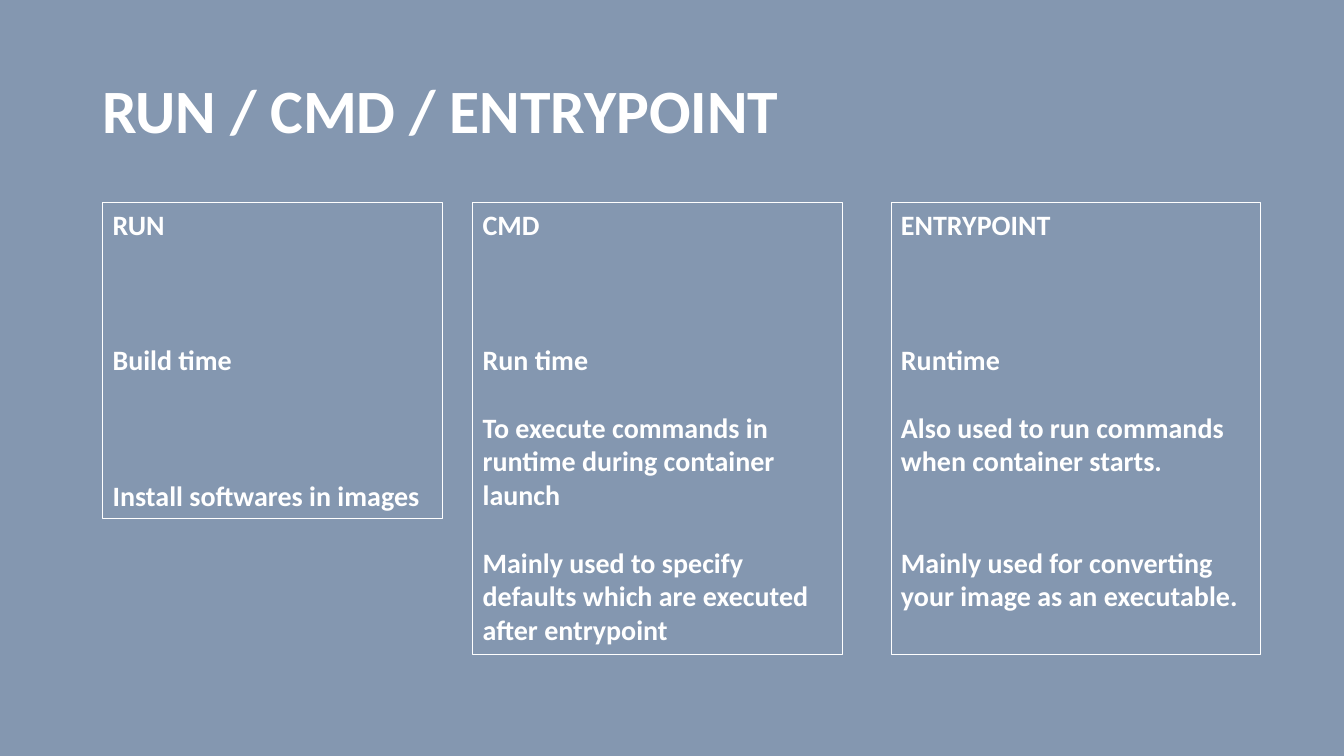
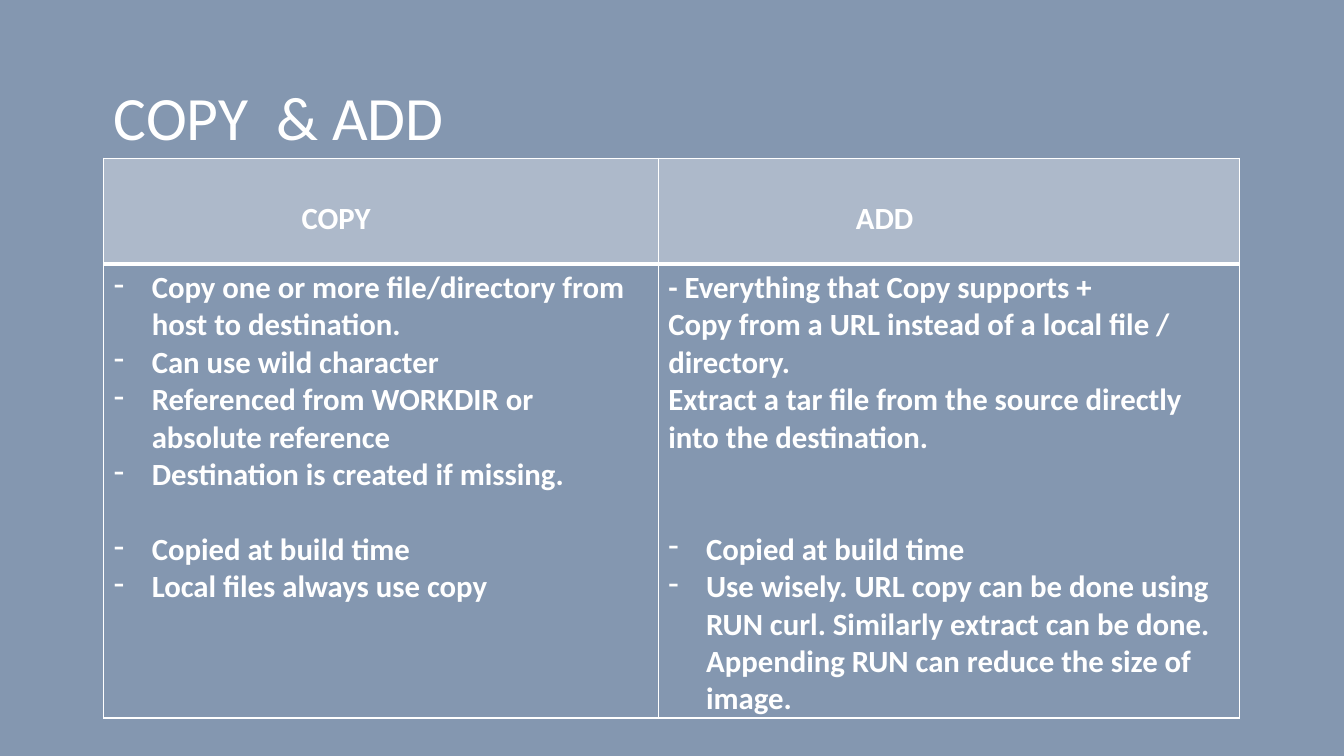
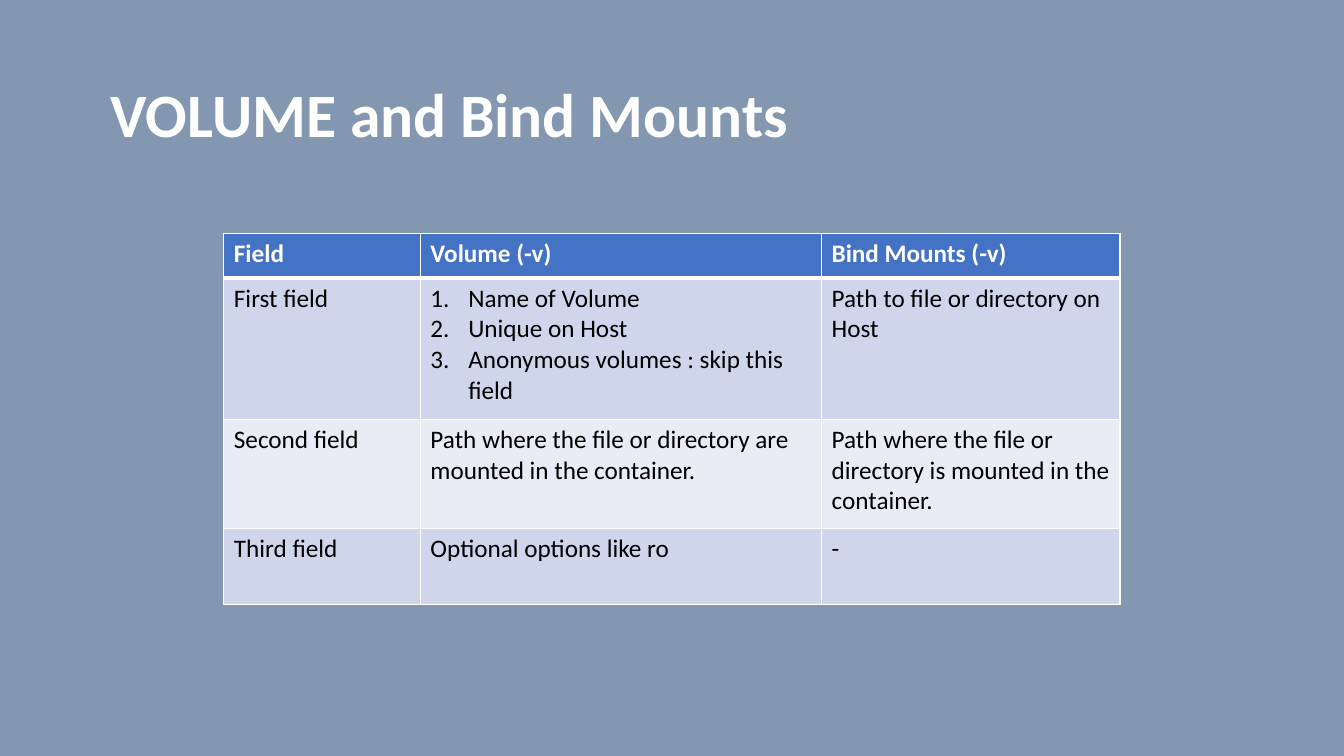
"""Build three slides on container build instructions and mounts."""
from pptx import Presentation
from pptx.dml.color import RGBColor
from pptx.enum.shapes import MSO_SHAPE as SHAPE
from pptx.enum.text import MSO_ANCHOR as ANCHOR, PP_ALIGN as ALIGN
from pptx.oxml.ns import qn
from pptx.util import Pt
from lxml.etree import SubElement

SLATE = RGBColor(0x84, 0x97, 0xB0)
MIST = RGBColor(0xAD, 0xB9, 0xCA)
BLUE = RGBColor(0x44, 0x72, 0xC4)
BAND = RGBColor(0xCF, 0xD5, 0xEA)
PALE = RGBColor(0xE9, 0xEB, 0xF5)
WHITE = RGBColor(0xFF, 0xFF, 0xFF)
BLACK = RGBColor(0, 0, 0)
FONT = "Calibri"
LINE = 1.21
HANG = 27
EDGES = ("lnL", "lnR", "lnT", "lnB")
DASH, NUMBER = "dash", "number"
BULLETS = {
    DASH: [("a:buFontTx", {}), ("a:buChar", {"char": "-"})],
    NUMBER: [("a:buFont", {"typeface": "+mj-lt"}), ("a:buAutoNum", {"type": "arabicPeriod"})],
}

TITLES = [
    {"text": "RUN / CMD / ENTRYPOINT", "box": (66, 28.8, 828, 104.4), "bold": True, "spacing": 0.9},
    {"text": "COPY  & ADD", "box": (74.2, 52.6, 811.4, 60.5), "bold": False, "spacing": 1},
    {"text": "VOLUME and Bind Mounts", "box": (72, 50.4, 597, 60.5), "bold": True, "spacing": 1},
]

CARD_TOP = 144.7
CARDS = [
    {"left": 73.4, "width": 242.6, "height": 225.4, "items": [
        ("RUN", 0), ("Build time", 3), ("Install softwares in images", 3)]},
    {"left": 337.7, "width": 264.2, "height": 322.6, "items": [
        ("CMD", 0), ("Run time", 3),
        ("To execute commands in runtime during container launch", 1),
        ("Mainly used to specify defaults which are executed after entrypoint", 1)]},
    {"left": 636.5, "width": 264.2, "height": 322.6, "items": [
        ("ENTRYPOINT", 0), ("Runtime", 3),
        ("Also used to run commands when container starts.", 1),
        ("Mainly used for converting your image as an executable.", 2)]},
]

COPY_ADD = {
    "at": (74.2, 113), "cols": (396, 415.4), "rows": (75.6, 324), "size": 22,
    "fills": (MIST, SLATE), "body": {"color": WHITE, "bold": True},
    "head_indent": 134, "head_top": 30.4,
    "cells": [
        [[("COPY", 0)], [("ADD", 0)]],
        [[("Copy one or more file/directory from host to destination.", 0, DASH),
          ("Can use wild character", 0, DASH),
          ("Referenced from WORKDIR or absolute reference", 0, DASH),
          ("Destination is created if missing.", 0, DASH),
          ("Copied at build time", 1, DASH),
          ("Local files always use copy", 0, DASH)],
         [("- Everything that Copy supports +", 0),
          ("Copy from a URL instead of a local file / directory.", 0),
          ("Extract a tar file from the source directly into the destination.", 0),
          ("Copied at build time", 2, DASH),
          ("Use wisely. URL copy can be done using RUN curl. Similarly extract can be done. "
           "Appending RUN can reduce the size of image.", 0, DASH)]],
    ],
}

MOUNTS = {
    "at": (159.9, 167), "cols": (140.4, 286.6, 213.1), "rows": (31.7, 100.8, 77.8, 54.7), "size": 18,
    "fills": (BLUE, BAND, PALE, BAND), "body": {"color": BLACK, "bold": False},
    "head_indent": 0, "head_top": 3.6,
    "cells": [
        [[("Field", 0)], [("Volume (-v)", 0)], [("Bind Mounts (-v)", 0)]],
        [[("First field", 0)],
         [("Name of Volume", 0, NUMBER), ("Unique on Host", 0, NUMBER),
          ("Anonymous volumes : skip this field", 0, NUMBER)],
         [("Path to file or directory on Host", 0)]],
        [[("Second field", 0)],
         [("Path where the file or directory are mounted in the container.", 0)],
         [("Path where the file or directory is mounted in the container.", 0)]],
        [[("Third field", 0)], [("Optional options like ro", 0)], [("-", 0)]],
    ],
}


def write(tf, items, size, color=WHITE, bold=True, indent=0):
    """Write (text, blank lines before, bullet) items into a text frame."""
    tf.word_wrap = True
    for i, (text, gap, *bullet) in enumerate(items):
        p = tf.paragraphs[0] if i == 0 else tf.add_paragraph()
        p.alignment = ALIGN.LEFT
        if gap:
            p.space_before = Pt(round(gap * size * LINE, 1))
        pPr = p._p.get_or_add_pPr()
        if indent:
            pPr.set("marL", str(Pt(indent)))
        for kind in bullet:
            pPr.set("marL", str(Pt(HANG)))
            pPr.set("indent", str(-Pt(HANG)))
            for tag, attrs in BULLETS[kind]:
                SubElement(pPr, qn(tag), attrs)
        r = p.add_run()
        r.text = text
        for name, value in {"name": FONT, "size": Pt(size), "bold": bold}.items():
            setattr(r.font, name, value)
        r.font.color.rgb = color


def add_slide(prs, title):
    """Add a slate slide with its title."""
    s = prs.slides.add_slide(prs.slide_layouts[6])
    s.background.fill.solid()
    s.background.fill.fore_color.rgb = SLATE
    tf = s.shapes.add_textbox(*map(Pt, title["box"])).text_frame
    tf.vertical_anchor = ANCHOR.MIDDLE
    write(tf, [(title["text"], 0)], 44, bold=title["bold"])
    tf.paragraphs[0].line_spacing = title["spacing"]
    return s


def add_card(s, card):
    """Add an outlined card of text."""
    box = (card["left"], CARD_TOP, card["width"], card["height"])
    sp = s.shapes.add_shape(SHAPE.RECTANGLE, *map(Pt, box))
    sp.shadow.inherit = False
    sp.fill.background()
    sp.line.color.rgb = WHITE
    sp.line.width = Pt(0.75)
    sp.text_frame.vertical_anchor = ANCHOR.TOP
    write(sp.text_frame, card["items"], 20)


def set_borders(cell, row):
    """Draw white borders, heavier between header and body."""
    tcPr = cell._tc.get_or_add_tcPr()
    for edge in EDGES:
        heavy = (row, edge) in ((0, "lnB"), (1, "lnT"))
        ln = SubElement(tcPr, qn(f"a:{edge}"), w=str(Pt(3 if heavy else 1)))
        SubElement(SubElement(ln, qn("a:solidFill")), qn("a:srgbClr"), val=str(WHITE))


def add_grid(s, grid):
    """Add a table with a header row and filled body rows."""
    cols, rows = grid["cols"], grid["rows"]
    box = (*grid["at"], sum(cols), sum(rows))
    table = s.shapes.add_table(len(rows), len(cols), *map(Pt, box)).table
    for col, width in zip(table.columns, cols):
        col.width = Pt(width)
    for i, (row, height) in enumerate(zip(table.rows, rows)):
        row.height = Pt(height)
        style = grid["body"] if i else {"indent": grid["head_indent"]}
        for cell, items in zip(row.cells, grid["cells"][i]):
            set_borders(cell, i)
            cell.fill.solid()
            cell.fill.fore_color.rgb = grid["fills"][i]
            if i == 0:
                cell.margin_top = Pt(grid["head_top"])
            write(cell.text_frame, items, grid["size"], **style)


def main():
    """Build and save the presentation."""
    prs = Presentation()
    prs.slide_width, prs.slide_height = Pt(960), Pt(540)
    roles, copy_add, mounts = [add_slide(prs, title) for title in TITLES]
    for card in CARDS:
        add_card(roles, card)
    add_grid(copy_add, COPY_ADD)
    add_grid(mounts, MOUNTS)
    prs.save("out.pptx")


if __name__ == "__main__":
    main()
